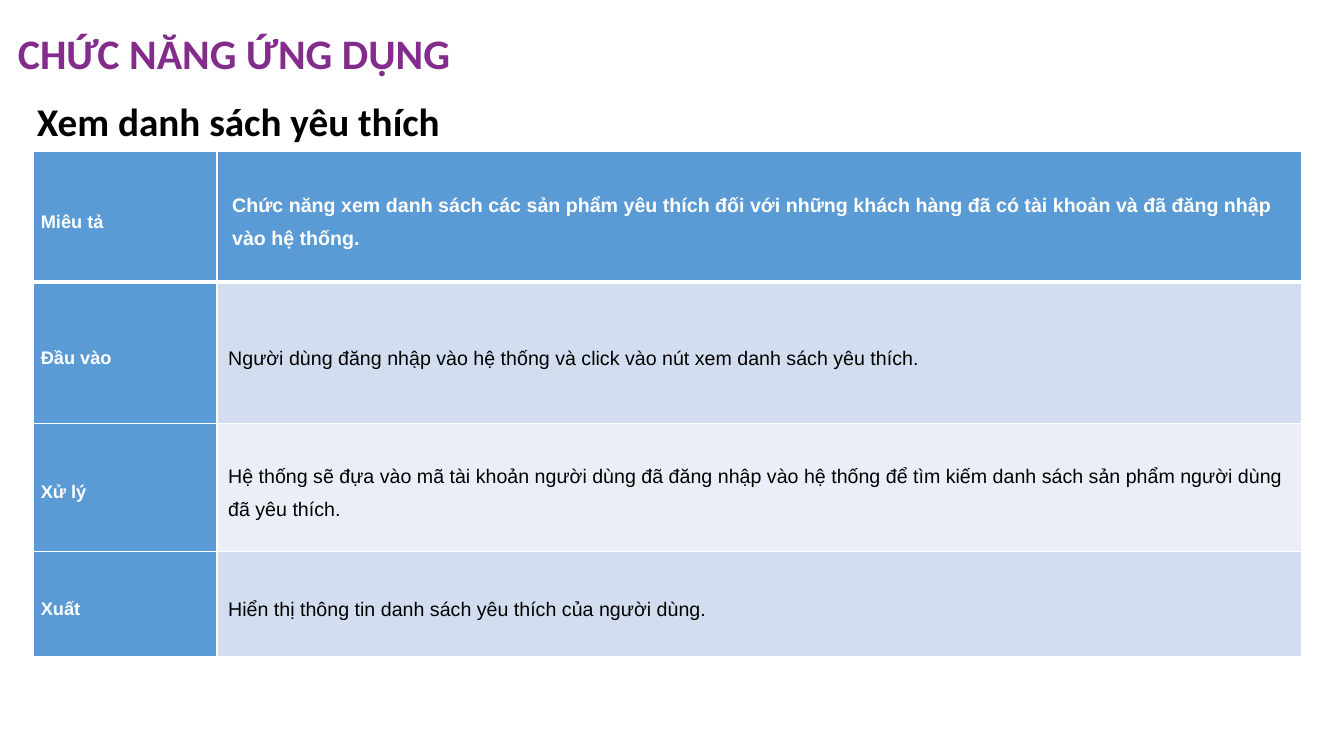
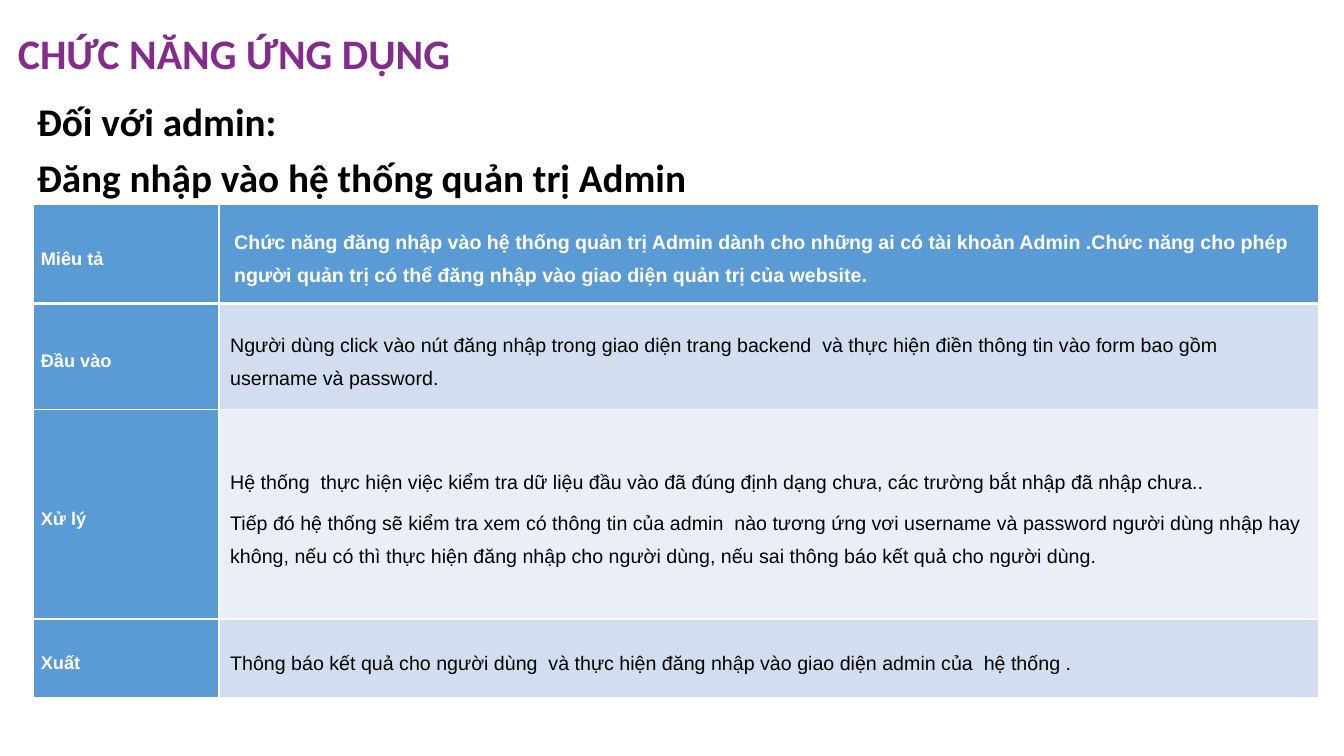
from lxml import etree
from pptx import Presentation
from pptx.dml.color import RGBColor
from pptx.enum.text import MSO_ANCHOR
from pptx.oxml.ns import qn
from pptx.util import Cm, Pt

MIDDLE = MSO_ANCHOR.MIDDLE
TOP = MSO_ANCHOR.TOP

# Shared look
PURPLE, BLACK, WHITE = "832C8B", "000000", "FFFFFF"
BLUE, BAND_DARK, BAND_LIGHT = "5B9BD5", "D2DEEF", "EAEFF7"
HEADING_FONT, TABLE_FONT = "Calibri", "Arial"
TITLE = "CHỨC NĂNG ỨNG DỤNG"
ROW_LABELS = ["Miêu tả", "Đầu vào", "Xử lý", "Xuất"]
THIN, THICK = 1, 3

# One entry per slide; lengths in centimetres
SLIDES = [
    {
        "headings": ["Xem danh sách yêu thích"],
        "table_top": 3.81,
        "columns": [4.62, 27.33],
        "rows": [3.3, 3.56, 3.23, 2.64],
        "details": [
            ["Chức năng xem danh sách các sản phẩm yêu thích đối với những khách hàng "
             "đã có tài khoản và đã đăng nhập vào hệ thống."],
            ["Người dùng đăng nhập vào hệ thống và click vào nút xem danh sách yêu thích."],
            ["Hệ thống sẽ đựa vào mã tài khoản người dùng đã đăng nhập vào hệ thống để "
             "tìm kiếm danh sách sản phẩm người dùng đã yêu thích."],
            ["Hiển thị thông tin danh sách yêu thích của người dùng."],
        ],
    },
    {
        "headings": ["Đối với admin:", "Đăng nhập vào hệ thống quản trị Admin"],
        "table_top": 5.16,
        "columns": [4.67, 27.71],
        "rows": [2.49, 2.67, 5.28, 1.98],
        "details": [
            ["Chức năng đăng nhập vào hệ thống quản trị Admin dành cho những ai có tài "
             "khoản Admin .Chức năng cho phép người quản trị có thể đăng nhập vào giao "
             "diện quản trị của website."],
            ["Người dùng click vào nút đăng nhập trong giao diện trang backend  và thực "
             "hiện điền thông tin vào form bao gồm username và password."],
            ["Hệ thống  thực hiện việc kiểm tra dữ liệu đầu vào đã đúng định dạng chưa, "
             "các trường bắt nhập đã nhập chưa..",
             "Tiếp đó hệ thống sẽ kiểm tra xem có thông tin của admin  nào tương ứng vơi "
             "username và password người dùng nhập hay không, nếu có thì thực hiện đăng "
             "nhập cho người dùng, nếu sai thông báo kết quả cho người dùng."],
            ["Thông báo kết quả cho người dùng  và thực hiện đăng nhập vào giao diện "
             "admin của  hệ thống ."],
        ],
    },
]


def rgb(hex_color):
    return RGBColor.from_string(hex_color)


def write_paragraphs(frame, texts, font, size, color, bold, spacing, before=0, indent=0):
    for index, text in enumerate(texts):
        paragraph = frame.add_paragraph() if index else frame.paragraphs[0]
        paragraph.text = text
        paragraph.line_spacing = spacing
        paragraph.space_before = Pt(before if index else 0)
        paragraph._p.get_or_add_pPr().set("marL", str(Cm(indent)))
        paragraph.font.name = font
        paragraph.font.size = Pt(size)
        paragraph.font.bold = bold
        paragraph.font.color.rgb = rgb(color)


def add_heading_box(slide, left, top, width, height, texts, anchor, **style):
    box = slide.shapes.add_textbox(Cm(left), Cm(top), Cm(width), Cm(height))
    frame = box.text_frame
    frame.word_wrap = True
    frame.vertical_anchor = anchor
    frame.margin_left = frame.margin_right = Cm(0.25)
    frame.margin_top = frame.margin_bottom = Cm(0.25)
    write_paragraphs(frame, texts, HEADING_FONT, bold=True, spacing=0.9, **style)


def set_borders(cell, top, bottom):
    properties = cell._tc.get_or_add_tcPr()
    for side, points in (("L", THIN), ("R", THIN), ("T", top), ("B", bottom)):
        line = etree.SubElement(properties, qn(f"a:ln{side}"), w=str(Pt(points)))
        fill = etree.SubElement(line, qn("a:solidFill"))
        etree.SubElement(fill, qn("a:srgbClr"), val=WHITE)


def fill_cell(cell, texts, row, fill, **style):
    set_borders(cell, THICK if row == 1 else THIN, THICK if row == 0 else THIN)
    cell.fill.solid()
    cell.fill.fore_color.rgb = rgb(fill)
    cell.vertical_anchor = MIDDLE
    cell.margin_left = cell.margin_right = Cm(0.18)
    cell.margin_top = cell.margin_bottom = 0
    write_paragraphs(cell.text_frame, texts, TABLE_FONT, spacing=1.5, **style)


def add_function_table(slide, left, top, columns, rows, details):
    table = slide.shapes.add_table(
        len(rows), len(columns), Cm(left), Cm(top), Cm(sum(columns)), Cm(sum(rows))
    ).table
    for column, width in zip(table.columns, columns):
        column.width = Cm(width)
    for index, (height, label, texts) in enumerate(zip(rows, ROW_LABELS, details)):
        table.rows[index].height = Cm(height)
        fill_cell(table.cell(index, 0), [label], index, BLUE,
                  size=13, color=WHITE, bold=True)
        # The first row is the header, the others alternate between two bands
        if index == 0:
            fill, color, indent = BLUE, WHITE, 0.2
        else:
            fill, color, indent = (BAND_DARK if index % 2 else BAND_LIGHT), BLACK, 0.1
        fill_cell(table.cell(index, 1), texts, index, fill, size=14, color=color,
                  bold=index == 0, before=6, indent=indent)


def add_function_slide(presentation, headings, table_top, columns, rows, details):
    slide = presentation.slides.add_slide(presentation.slide_layouts[6])
    # Title and subheadings
    add_heading_box(slide, 0.2, 0, 29.21, 2.84, [TITLE], MIDDLE, size=30, color=PURPLE)
    add_heading_box(slide, 0.2, 2.34, 33.02, 15.24, headings, TOP,
                    size=28, color=BLACK, before=10, indent=0.48)
    # Function description
    add_function_table(slide, 0.85, table_top, columns, rows, details)


def main():
    presentation = Presentation()
    presentation.slide_width = Cm(33.87)
    presentation.slide_height = Cm(19.05)
    for content in SLIDES:
        add_function_slide(presentation, **content)
    presentation.save("out.pptx")


if __name__ == "__main__":
    main()
